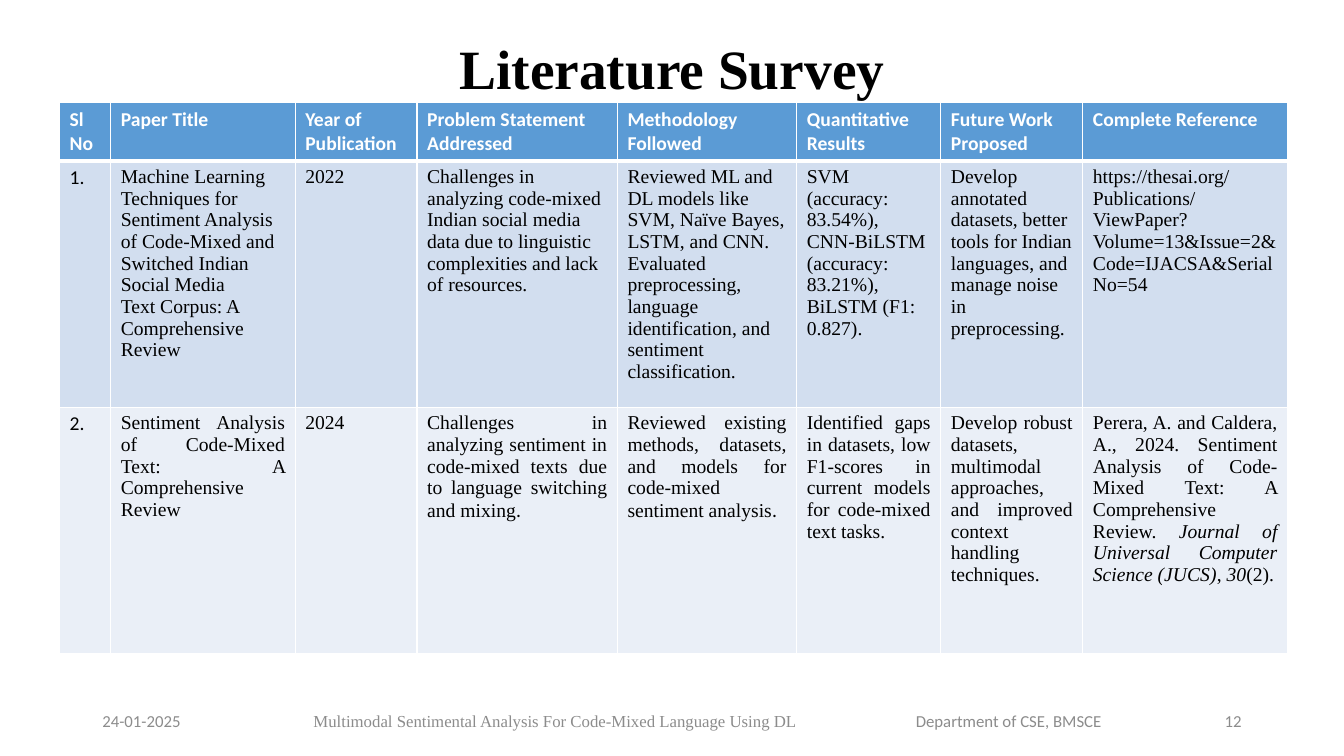
from dataclasses import dataclass

from pptx import Presentation
from pptx import util as u
from pptx.dml.color import RGBColor
from pptx.enum import text
from pptx.oxml import parse_xml
from pptx.oxml.ns import nsdecls

BLACK = RGBColor(0x00, 0x00, 0x00)
WHITE = RGBColor(0xFF, 0xFF, 0xFF)
GREY = RGBColor(0x8C, 0x8C, 0x8C)
HEADER_BLUE = RGBColor(0x5B, 0x9B, 0xD5)
ROW_BLUE = RGBColor(0xD2, 0xDE, 0xEF)
ROW_PALE = RGBColor(0xEA, 0xEF, 0xF7)

SERIF = "Times New Roman"
SANS = "Calibri"
LEFT, CENTER, RIGHT, JUSTIFY = (
    text.PP_ALIGN.LEFT, text.PP_ALIGN.CENTER, text.PP_ALIGN.RIGHT, text.PP_ALIGN.JUSTIFY)


@dataclass(frozen=True)
class Span:
    words: str
    face: str = SERIF
    size: float = 14
    color: RGBColor = BLACK
    bold: bool = False
    italic: bool = False


@dataclass(frozen=True)
class Para:
    spans: tuple[Span, ...]
    align: text.PP_ALIGN = LEFT
    spacing: float = 1.0


@dataclass(frozen=True)
class Label:
    left: float
    top: float
    width: float
    height: float
    para: Para


@dataclass(frozen=True)
class Row:
    height: float
    fill: RGBColor
    cells: tuple[tuple[Para, ...], ...]
    top_line: float = 1
    bottom_line: float = 1


def plain(*lines: str) -> tuple[Para, ...]:
    return tuple(Para((Span(line),)) for line in lines)


def number(words: str) -> tuple[Para, ...]:
    return (Para((Span(words, SANS),)),)


def heading(words: str) -> tuple[Para, ...]:
    return (Para((Span(words, SANS, color=WHITE, bold=True),)),)


def justified(*spans: Span) -> tuple[Para, ...]:
    return (Para(spans, JUSTIFY),)


def footer(left: float, width: float, words: str, face: str = SANS,
           align: text.PP_ALIGN = LEFT) -> Label:
    return Label(left, 17.65, width, 1.02, Para((Span(words, face, 12, GREY),), align))


STOP = Span(".", SANS)

LABELS = (
    Label(2.33, 1.02, 29.21, 1.57,
          Para((Span("Literature Survey", size=39.6, bold=True),), CENTER, 0.9)),
    footer(2.33, 4, "24-01-2025"),
    footer(7.65, 13.5, "Multimodal Sentimental Analysis For Code-Mixed Language Using DL", SERIF),
    footer(22.83, 5.5, "Department of CSE, BMSCE"),
    footer(29, 2.54, "12", align=RIGHT),
)

COLUMN_WIDTHS = (1.29, 4.65, 3.07, 5.05, 4.52, 3.63, 3.58, 5.16)
ROWS = (
    Row(1.47, HEADER_BLUE, tuple(heading(words) for words in (
        "Sl No", "Paper Title", "Year of Publication", "Problem Statement Addressed",
        "Methodology Followed", "Quantitative Results", "Future Work Proposed",
        "Complete Reference")), bottom_line=3),
    Row(6.2, ROW_BLUE, (
        number("1."),
        plain("Machine Learning Techniques for Sentiment Analysis",
              "of Code-Mixed and Switched Indian Social Media",
              "Text Corpus: A Comprehensive Review"),
        plain("2022"),
        plain("Challenges in analyzing code-mixed Indian social media data due to "
              "linguistic complexities and lack of resources."),
        plain("Reviewed ML and DL models like SVM, Naïve Bayes, LSTM, and CNN. Evaluated "
              "preprocessing, language identification, and sentiment classification."),
        plain("SVM (accuracy: 83.54%), CNN-BiLSTM (accuracy: 83.21%), BiLSTM (F1: 0.827)."),
        plain("Develop annotated datasets, better tools for Indian languages, and manage "
              "noise in preprocessing."),
        plain("https://thesai.org/Publications/ViewPaper?Volume=13&Issue=2&Code=IJACSA&SerialNo=54"),
    ), top_line=3),
    Row(6.2, ROW_PALE, (
        number("2."),
        justified(Span("Sentiment Analysis of Code-Mixed Text: A Comprehensive Review")),
        plain("2024"),
        justified(Span("Challenges in analyzing sentiment in code-mixed texts due to "
                       "language switching and mixing"), STOP),
        justified(Span("Reviewed existing methods, datasets, and models for code-mixed "
                       "sentiment analysis"), STOP),
        justified(Span("Identified gaps in datasets, low F1-scores in current models for "
                       "code-mixed text tasks.")),
        justified(Span("Develop robust datasets, multimodal approaches, and improved context "
                       "handling techniques.")),
        justified(Span("Perera, A. and Caldera, A., 2024. Sentiment Analysis of Code-Mixed "
                       "Text: A Comprehensive Review. "),
                  Span("Journal of Universal Computer Science (JUCS)", italic=True),
                  Span(", "), Span("30", italic=True), Span("(2).")),
    )),
)


def write(frame, paras: tuple[Para, ...]) -> None:
    for index, para in enumerate(paras):
        paragraph = frame.add_paragraph() if index else frame.paragraphs[0]
        paragraph.alignment = para.align
        paragraph.line_spacing = para.spacing
        for span in para.spans:
            run = paragraph.add_run()
            run.text = span.words
            run.font.name = span.face
            run.font.size = u.Pt(span.size)
            run.font.bold = span.bold
            run.font.italic = span.italic
            run.font.color.rgb = span.color


def draw_label(page, label: Label) -> None:
    box = page.shapes.add_textbox(
        u.Cm(label.left), u.Cm(label.top), u.Cm(label.width), u.Cm(label.height))
    box.text_frame.word_wrap = True
    box.text_frame.vertical_anchor = text.MSO_ANCHOR.MIDDLE
    write(box.text_frame, (label.para,))


def draw_borders(cell, row: Row) -> None:
    properties = cell._tc.get_or_add_tcPr()
    sides = {"L": 1, "R": 1, "T": row.top_line, "B": row.bottom_line}
    for index, (side, points) in enumerate(sides.items()):
        properties.insert(index, parse_xml(
            f'<a:ln{side} {nsdecls("a")} w="{u.Pt(points)}"><a:solidFill>'
            f'<a:srgbClr val="{WHITE}"/></a:solidFill></a:ln{side}>'))


def draw_table(page, left: float, top: float, rows: tuple[Row, ...],
               widths: tuple[float, ...]) -> None:
    table = page.shapes.add_table(
        len(rows), len(widths), u.Cm(left), u.Cm(top),
        u.Cm(sum(widths)), u.Cm(sum(row.height for row in rows))).table
    for column, width in zip(table.columns, widths):
        column.width = u.Cm(width)
    for table_row, row in zip(table.rows, rows):
        table_row.height = u.Cm(row.height)
        for cell, paras in zip(table_row.cells, row.cells):
            cell.fill.solid()
            cell.fill.fore_color.rgb = row.fill
            draw_borders(cell, row)
            write(cell.text_frame, paras)


def main() -> None:
    deck = Presentation()
    deck.slide_width, deck.slide_height = u.Cm(33.87), u.Cm(19.05)
    page = deck.slides.add_slide(deck.slide_layouts[6])
    for label in LABELS:
        draw_label(page, label)
    draw_table(page, 1.5, 2.59, ROWS, COLUMN_WIDTHS)
    deck.save("out.pptx")


if __name__ == "__main__":
    main()
